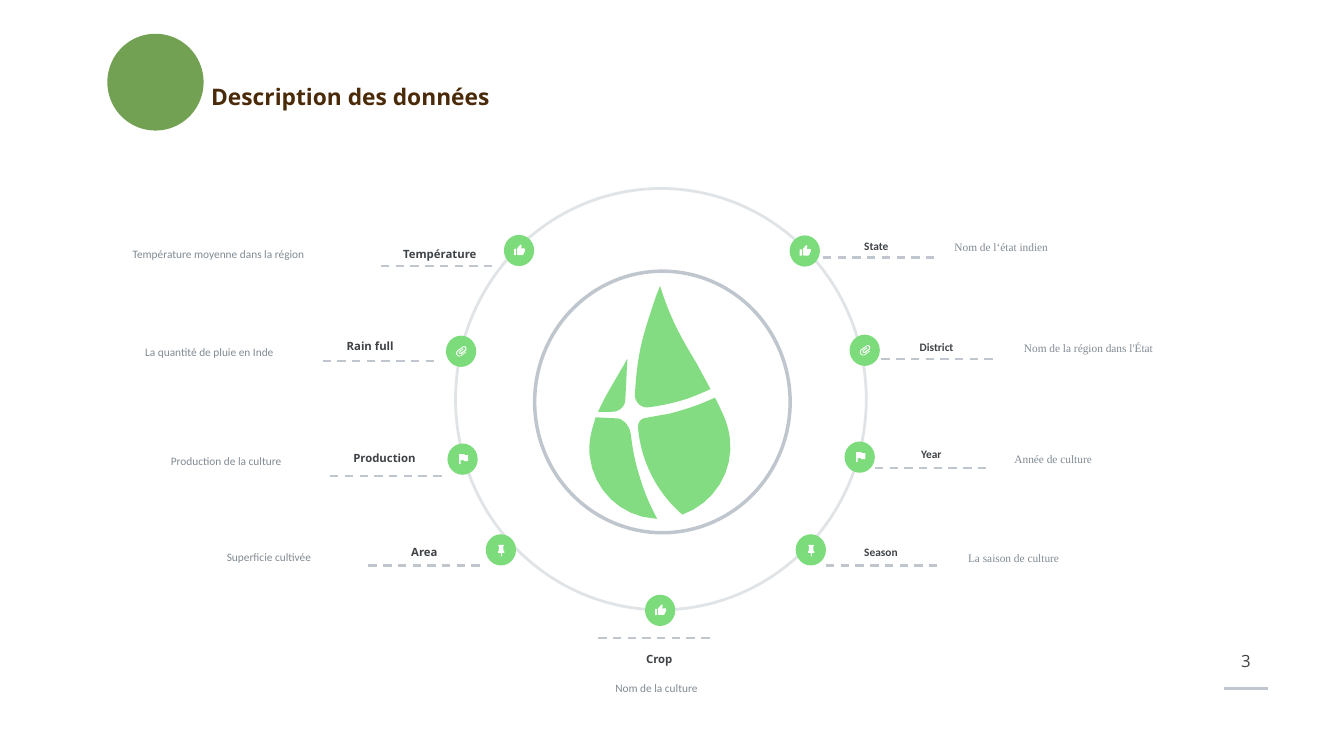
from lxml.etree import SubElement
from pptx import Presentation
from pptx.dml.color import RGBColor
from pptx.enum.dml import MSO_LINE
from pptx.enum.shapes import MSO_CONNECTOR, MSO_SHAPE
from pptx.enum.text import MSO_ANCHOR, MSO_AUTO_SIZE, PP_ALIGN
from pptx.oxml.ns import qn
from pptx.util import Inches, Pt

LIGHT_GREEN = RGBColor(0x7C, 0xDB, 0x7A)
LEAF_GREEN = RGBColor(0x83, 0xDC, 0x81)
DARK_GREEN = RGBColor(0x73, 0xA1, 0x54)
BROWN = RGBColor(0x4A, 0x2A, 0x09)
CHARCOAL = RGBColor(0x3F, 0x43, 0x47)
GREY = RGBColor(0x81, 0x8A, 0x93)
RULE_GREY = RGBColor(0xC0, 0xC6, 0xCD)
PALE_GREY = RGBColor(0xE0, 0xE4, 0xE6)
WHITE = RGBColor(0xFF, 0xFF, 0xFF)

MARKER_WIDTH, MARKER_HEIGHT = 0.6, 0.62
DASH_LENGTH = 2.32
CURVE_STEPS = 8

# Icon outlines, in inches from the top left corner of their marker
THUMB = ("M .2,.4 L .24,.4 .24,.28 .2,.28 "
         "M .42,.29 C .42,.27 .41,.27 .4,.27 L .34,.27 .35,.22 "
         "C .35,.21 .35,.21 .34,.2 L .33,.19 .27,.26 C .26,.26 .26,.27 .26,.28 "
         "L .26,.38 C .26,.39 .27,.4 .28,.4 L .37,.4 C .38,.4 .38,.39 .39,.38 L .42,.31")
CLIP = ("M .31,.4 C .28,.42 .24,.42 .22,.39 .19,.36 .2,.31 .23,.29 L .33,.22 "
        "C .35,.2 .38,.2 .4,.23 .41,.25 .41,.28 .39,.3 L .31,.36 "
        "C .29,.37 .27,.36 .26,.35 .25,.34 .26,.32 .27,.31 L .34,.25 .35,.27 .28,.32 "
        "C .28,.33 .27,.33 .28,.34 .28,.35 .29,.35 .3,.34 L .38,.28 "
        "C .39,.27 .39,.25 .38,.24 .37,.22 .35,.22 .34,.23 L .24,.31 "
        "C .22,.32 .22,.35 .23,.38 .25,.4 .28,.4 .3,.39 L .39,.32 .4,.33")
FLAG = ("M .34,.23 L .34,.21 .23,.21 .23,.41 .26,.41 .26,.33 .32,.33 "
        ".33,.35 .41,.35 .41,.23")
PIN = ("M .35,.32 L .35,.23 .36,.23 .36,.21 .25,.21 .25,.23 .26,.23 .26,.32 "
       ".24,.35 .24,.37 .3,.37 .3,.44 .32,.44 .32,.37 .37,.37 .37,.35")

# The four parts of the leaf, in inches on the slide
LEAF_TIP = (
    "M 13.1,5.67 C 13.07,5.75 13.04,5.82 13.01,5.9 12.93,6.14 12.85,6.38 12.78,6.62 "
    "12.67,7.01 12.62,7.42 12.6,7.82 12.59,7.9 12.63,7.98 12.69,8.03 "
    "12.74,8.07 12.81,8.09 12.87,8.08 13.13,8.05 13.39,7.99 13.64,7.91 "
    "13.8,7.85 13.95,7.79 14.1,7.72 14.01,7.55 13.92,7.39 13.83,7.22 "
    "13.68,6.97 13.53,6.72 13.4,6.45 13.28,6.2 13.18,5.94 13.1,5.67")
LEAF_SIDE = (
    "M 12.45,7.12 C 12.41,7.18 12.38,7.25 12.34,7.31 12.18,7.59 12,7.87 11.87,8.17 "
    "L 12.15,8.17 C 12.23,8.17 12.29,8.14 12.34,8.09 12.39,8.04 12.41,7.98 12.41,7.91")
LEAF_RIGHT = (
    "M 14.19,7.89 C 14.01,7.97 13.82,8.05 13.62,8.11 13.5,8.15 13.39,8.18 13.27,8.21 "
    "13.16,8.23 13.04,8.25 12.93,8.27 12.9,8.27 12.87,8.28 12.84,8.29 "
    "12.81,8.29 12.78,8.3 12.75,8.31 12.69,8.34 12.66,8.41 12.66,8.47 "
    "12.69,8.86 12.81,9.23 13,9.56 13.14,9.8 13.32,10.02 13.54,10.21 "
    "14.16,9.99 14.58,9.36 14.48,8.66 14.45,8.47 14.39,8.3 14.31,8.14 "
    "14.27,8.05 14.23,7.97 14.19,7.89")
LEAF_LEFT = (
    "M 11.82,8.28 C 11.81,8.31 11.8,8.33 11.8,8.36 11.72,8.58 11.68,8.81 11.7,9.03 "
    "11.77,9.72 12.32,10.25 13,10.29 13.01,10.29 13.02,10.29 13.04,10.29 "
    "12.91,10.05 12.8,9.8 12.72,9.54 12.62,9.24 12.55,8.93 12.52,8.62 "
    "12.51,8.58 12.5,8.54 12.49,8.51 12.47,8.47 12.45,8.44 12.43,8.41 "
    "12.41,8.38 12.38,8.36 12.35,8.34 12.31,8.31 12.27,8.3 12.22,8.3")

# label, description, icon, then the places of marker, dashes, label and description
RIGHT_FIELDS = [
    ("State", "Nom de l‘état indien", THUMB,
     (15.67, 4.67), (16.33, 5.11), (17.09, 4.83), (18.88, 4.71)),
    ("District", "Nom de la région dans l'État", CLIP,
     (16.86, 6.64), (17.49, 7.13), (18.19, 6.82), (20.26, 6.7)),
    ("Year", "Année de culture", FLAG,
     (16.76, 8.76), (17.36, 9.28), (18.22, 8.95), (20.07, 8.92)),
    ("Season", "La saison de culture", PIN,
     (15.79, 10.6), (16.39, 11.22), (17.09, 10.9), (19.15, 10.87)),
]
LEFT_FIELDS = [
    ("Température", "Température moyenne dans la région", THUMB,
     (10, 4.66), (7.56, 5.28), (7.94, 4.97), (2.57, 4.85)),
    ("Rain full", "La quantité de pluie en Inde", CLIP,
     (8.85, 6.66), (6.4, 7.16), (6.82, 6.78), (2.82, 6.78)),
    ("Production", "Production de la culture", FLAG,
     (8.88, 8.8), (6.55, 9.45), (6.95, 9.01), (3.33, 8.96)),
    ("Area", "Superficie cultivée", PIN,
     (9.64, 10.6), (7.31, 11.22), (8.1, 10.87), (4.44, 10.85)),
    ("Crop", "Nom de la culture", THUMB,
     (12.8, 11.8), (11.87, 12.66), (12.76, 13.01), (12.15, 13.45)),
]


def draw_outline(outline, left, top, colour):
    """Draw M, L and C commands as one filled freeform, with curves cut into short lines."""
    contours, controls, command = [], [], ""
    for token in outline.split():
        if token in "MLC":
            command = token
            continue
        x, y = token.split(",")
        point = (Inches(left + float(x)), Inches(top + float(y)))
        if command == "M":
            contours.append([point])
        elif command == "L":
            contours[-1].append(point)
        else:
            controls.append(point)
        if len(controls) == 3:
            curve = [contours[-1][-1], *controls]
            for step in range(1, CURVE_STEPS + 1):
                t = step / CURVE_STEPS
                weights = ((1 - t) ** 3, 3 * t * (1 - t) ** 2, 3 * t * t * (1 - t), t ** 3)
                contours[-1].append(tuple(
                    sum(w * p[axis] for w, p in zip(weights, curve)) for axis in (0, 1)))
            controls = []
    builder = shapes.build_freeform(*contours[0][0])
    for number, contour in enumerate(contours):
        if number:
            builder.move_to(*contour[0])
        builder.add_line_segments(contour[1:], close=True)
    freeform = builder.convert_to_shape()
    freeform.shadow.inherit = False
    freeform.fill.solid()
    freeform.fill.fore_color.rgb = colour
    freeform.line.fill.background()


def write_text(box, text, font_name, size, colour, bold=False, raised=0, inset=0.06):
    """Fill a box with one run, raised as superscript by a percentage."""
    frame = box.text_frame
    frame.auto_size = MSO_AUTO_SIZE.SHAPE_TO_FIT_TEXT
    frame.word_wrap = True
    frame.margin_left = frame.margin_right = Inches(inset)
    frame.margin_top = frame.margin_bottom = Inches(0.06)
    run = frame.paragraphs[0].add_run()
    run.text = text
    run.font.name = font_name
    run.font.size = Pt(size)
    run.font.bold = bold
    run.font.color.rgb = colour
    if raised:
        run.font._element.set("baseline", str(raised * 1000))
    return frame


prs = Presentation()
prs.slide_width, prs.slide_height = Inches(26.67), Inches(15)
slide = prs.slides.add_slide(prs.slide_layouts[5])
shapes = slide.shapes

# Title
title = shapes.title
title.left, title.top = Inches(4.09), Inches(1.59)
title.width, title.height = Inches(6.74), Inches(0.73)
heading = write_text(title, "Description des données", "Open Sans", 56, BROWN, True, 43, 0.1)
heading.word_wrap = False
heading.vertical_anchor = MSO_ANCHOR.TOP
heading.paragraphs[0].alignment = PP_ALIGN.LEFT

# Rings, markers and title disc
ellipses = [
    (MSO_SHAPE.OVAL, 10.61, 5.38, 5.07, 5.19, None, RULE_GREY, 5),
    (MSO_SHAPE.OVAL, 9.04, 3.74, 8.15, 8.36, None, PALE_GREY, 4),
    (MSO_SHAPE.FLOWCHART_CONNECTOR, 2.13, 0.67, 1.91, 1.92, DARK_GREEN, None, 0),
]
for field in RIGHT_FIELDS + LEFT_FIELDS:
    ellipses.append((MSO_SHAPE.OVAL, *field[3], MARKER_WIDTH, MARKER_HEIGHT,
                     LIGHT_GREEN, None, 0))
for preset, left, top, width, height, fill, line, weight in ellipses:
    ellipse = shapes.add_shape(preset, Inches(left), Inches(top), Inches(width), Inches(height))
    ellipse.shadow.inherit = False
    if fill:
        ellipse.fill.solid()
        ellipse.fill.fore_color.rgb = fill
        ellipse.line.fill.background()
    else:
        ellipse.fill.background()
        ellipse.line.color.rgb = line
        ellipse.line.width = Pt(weight)

leaf = " ".join([LEAF_TIP, LEAF_SIDE, LEAF_RIGHT, LEAF_LEFT])
draw_outline(leaf, 0, 0, LEAF_GREEN)

# Data fields around the ring
for fields, label_font, text_font, label_height, text_height in (
        (RIGHT_FIELDS, "Calibri", "Times New Roman", 0.35, 0.48),
        (LEFT_FIELDS, "Open Sans", "Calibri", 0.39, 0.43)):
    for label, description, icon, marker_at, _, label_at, text_at in fields:
        draw_outline(icon, *marker_at, WHITE)
        label_box = shapes.add_textbox(Inches(label_at[0]), Inches(label_at[1]),
                                       Inches(5.98), Inches(label_height))
        frame = write_text(label_box, label, label_font, 28, CHARCOAL, True, 33)
        frame.vertical_anchor = MSO_ANCHOR.MIDDLE
        frame.paragraphs[0].line_spacing = 0.7
        text_box = shapes.add_textbox(Inches(text_at[0]), Inches(text_at[1]),
                                      Inches(10.63), Inches(text_height))
        write_text(text_box, description, text_font, 28, GREY, raised=43)

# Dashed rules, and the solid one under the page number
rules = [(*field[4], DASH_LENGTH, 3, MSO_LINE.DASH) for field in RIGHT_FIELDS + LEFT_FIELDS]
rules.append((24.28, 13.66, 0.89, 4, MSO_LINE.SOLID))
for left, top, length, weight, dash in rules:
    rule = shapes.add_connector(MSO_CONNECTOR.STRAIGHT, Inches(left), Inches(top),
                                Inches(left + length), Inches(top))
    rule.line.color.rgb = RULE_GREY
    rule.line.width = Pt(weight)
    rule.line.dash_style = dash
    SubElement(rule._element.spPr, qn("a:effectLst"))

page_box = shapes.add_textbox(Inches(24.22), Inches(12.86), Inches(1.01), Inches(0.57))
page_frame = write_text(page_box, "3", "Open Sans", 24, CHARCOAL)
page_frame.paragraphs[0].alignment = PP_ALIGN.CENTER

prs.save("out.pptx")
